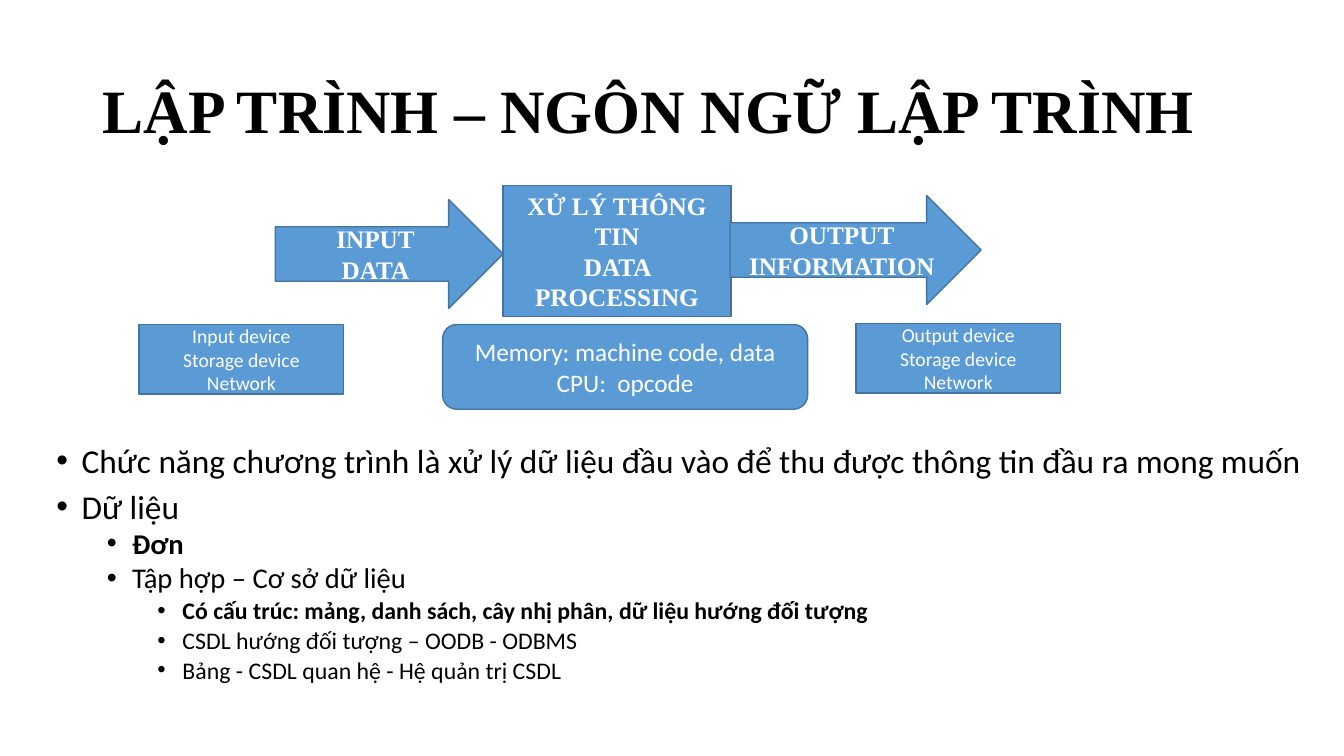
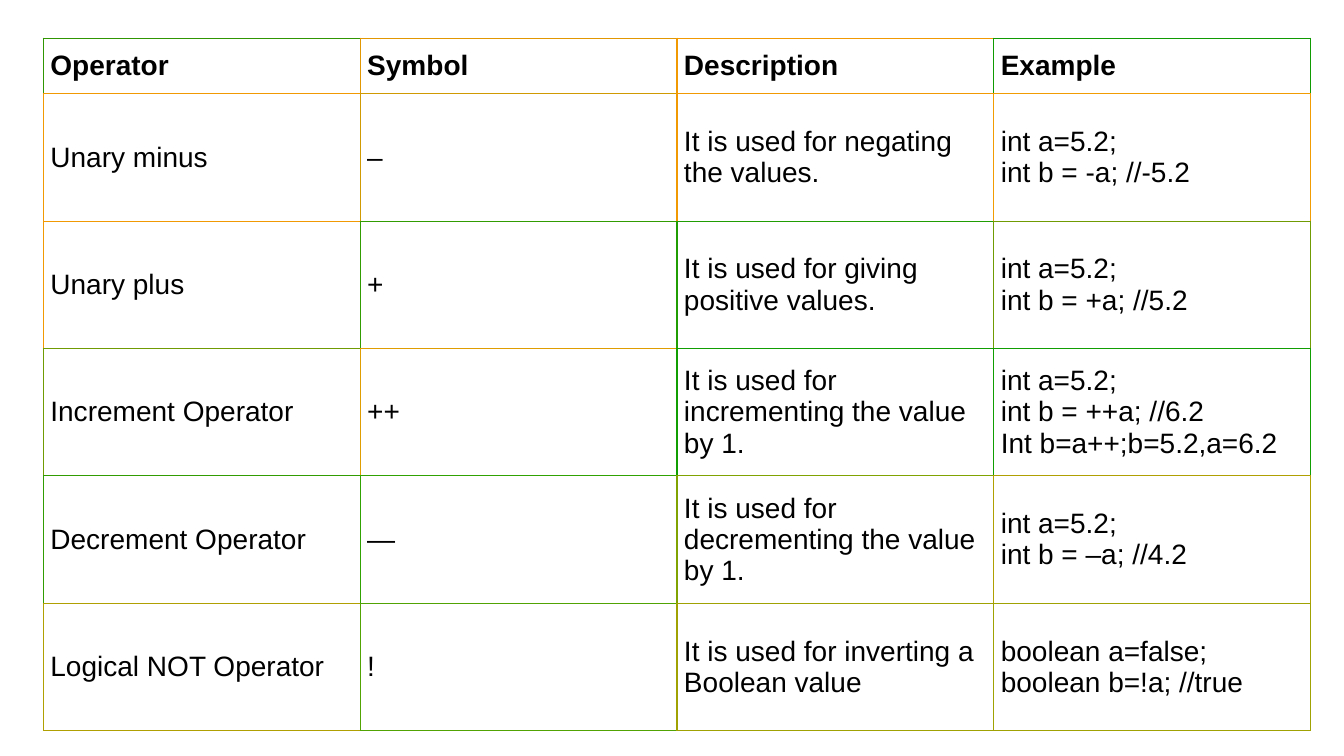
from lxml import etree
from pptx import Presentation
from pptx.dml.color import RGBColor
from pptx.enum.shapes import MSO_SHAPE
from pptx.enum.text import MSO_ANCHOR, MSO_AUTO_SIZE, PP_ALIGN
from pptx.oxml.ns import qn
from pptx.util import Inches, Pt

RECT = MSO_SHAPE.RECTANGLE
ROUND = MSO_SHAPE.ROUNDED_RECTANGLE
ARROW = MSO_SHAPE.RIGHT_ARROW
MIDDLE = MSO_ANCHOR.MIDDLE
TOP = MSO_ANCHOR.TOP
LEFT = PP_ALIGN.LEFT
CENTER = PP_ALIGN.CENTER
NO_FIT = MSO_AUTO_SIZE.NONE

COLORS = {"text": "000000", "white": "FFFFFF", "blue": "5B9BD5", "edge": "43739E"}
HEAD_FONT = "Times New Roman"
BODY_FONT = "Calibri"
TABLE_FONT = "Arial"
LEVEL_SIZES = (23.8, 20.4, 17)
LEVEL_SPACES = (10, 5, 5)

BULLETS = [
    (0, "Chức năng chương trình là xử lý dữ liệu đầu vào để thu được thông tin đầu ra mong muốn", False),
    (0, "Dữ liệu", False),
    (1, "Đơn", True),
    (1, "Tập hợp – Cơ sở dữ liệu", False),
    (2, "Có cấu trúc: mảng, danh sách, cây nhị phân, dữ liệu hướng đối tượng", True),
    (2, "CSDL hướng đối tượng – OODB - ODBMS", False),
    (2, "Bảng - CSDL quan hệ - Hệ quản trị CSDL", False),
]

OPERATORS = [
    ("Operator", "Symbol", "Description", "Example"),
    ("Unary minus", "–", "It is used for negating the values.",
     "int a=5.2;\nint b = -a; //-5.2"),
    ("Unary plus", "+", "It is used for giving positive values.",
     "int a=5.2;\nint b = +a; //5.2"),
    ("Increment Operator", "++", "It is used for incrementing the value by 1.",
     "int a=5.2;\nint b = ++a; //6.2\nInt b=a++;b=5.2,a=6.2"),
    ("Decrement Operator", "—", "It is used for decrementing the value by 1.",
     "int a=5.2;\nint b = –a; //4.2"),
    ("Logical NOT Operator", "!", "It is used for inverting a Boolean value",
     "boolean a=false;\nboolean b=!a; //true"),
]

CELL_BORDERS = [
    ("309602", "E09702", "F09902", "109B02"),
    ("F09902", "D09B02", "F09902", "F09C02"),
    ("F09902", "309C02", "209D02", "709B02"),
    ("709B02", "E09D02", "109E02", "109E02"),
    ("309C02", "30A202", "80A302", "B0A002"),
    ("B0A002", "50A302", "A0A102", "A0A102"),
]


def rgb(name):
    return RGBColor.from_string(COLORS[name])


def add_run(p, text, font, size, color, bold=False):
    r = p.add_run()
    r.text = text
    r.font.name = font
    r.font.size = Pt(size)
    r.font.bold = bold
    r.font.color.rgb = rgb(color)


def write_lines(tf, text, font, size, color, bold=False, align=LEFT):
    for i, line in enumerate(text.split("\n")):
        p = tf.add_paragraph() if i else tf.paragraphs[0]
        p.alignment = align
        add_run(p, line, font, size, color, bold)


def place(sp, x, y, w, h):
    sp.left, sp.top, sp.width, sp.height = (Inches(v) for v in (x, y, w, h))


def set_title(s, text, x, y, w, h):
    sp = s.shapes.title
    place(sp, x, y, w, h)
    tf = sp.text_frame
    tf.auto_size = NO_FIT
    tf.vertical_anchor = MIDDLE
    write_lines(tf, text, HEAD_FONT, 44, "text", True)
    tf.paragraphs[0].line_spacing = 0.9


def set_bullet(p, level):
    pPr = p._p.get_or_add_pPr()
    pPr.set("marL", str(Inches(0.25 + 0.5 * level)))
    pPr.set("indent", str(Inches(-0.25)))
    etree.SubElement(pPr, qn("a:buFont"), typeface="Arial")
    etree.SubElement(pPr, qn("a:buChar"), char="•")


def set_bullets(s, items, x, y, w, h):
    sp = s.placeholders[1]
    place(sp, x, y, w, h)
    tf = sp.text_frame
    tf.auto_size = NO_FIT
    tf.vertical_anchor = TOP
    for i, (level, text, bold) in enumerate(items):
        p = tf.add_paragraph() if i else tf.paragraphs[0]
        p.level = level
        set_bullet(p, level)
        p.alignment = LEFT
        p.line_spacing = 0.8
        p.space_before = Pt(LEVEL_SPACES[level] if i else 0)
        add_run(p, text, BODY_FONT, LEVEL_SIZES[level], "text", bold)


def add_block(s, kind, x, y, w, h, text, font, size, bold=False, corner=None):
    sp = s.shapes.add_shape(kind, Inches(x), Inches(y), Inches(w), Inches(h))
    if corner is not None:
        sp.adjustments[0] = corner
    sp.shadow.inherit = False
    sp.fill.solid()
    sp.fill.fore_color.rgb = rgb("blue")
    sp.line.color.rgb = rgb("edge")
    sp.line.width = Pt(1)
    tf = sp.text_frame
    tf.word_wrap = True
    tf.vertical_anchor = MIDDLE
    write_lines(tf, text, font, size, "white", bold, CENTER)


def add_data_flow(s, x, y):
    steps = [
        (RECT, 3.61, 0, 2.26, 1.3, "XỬ LÝ THÔNG TIN\nDATA PROCESSING"),
        (ARROW, 1.35, 0.14, 2.26, 1.08, "INPUT\nDATA"),
        (ARROW, 5.86, 0.1, 2.49, 1.08, "OUTPUT\nINFORMATION"),
    ]
    for kind, dx, dy, w, h, text in steps:
        add_block(s, kind, x + dx, y + dy, w, h, text, HEAD_FONT, 18, True)
    devices = [
        (0, 1.38, 2.03, 0.69, "Input device\nStorage device\nNetwork", 14, 0),
        (3.01, 1.38, 3.62, 0.84, "Memory: machine code, data\nCPU:  opcode", 18, None),
        (7.11, 1.37, 2.03, 0.69, "Output device\nStorage device\nNetwork", 14, 0),
    ]
    for dx, dy, w, h, text, size, corner in devices:
        add_block(s, ROUND, x + dx, y + dy, w, h, text, BODY_FONT, size, corner=corner)


def set_border(cell, side, color, width):
    tcPr = cell._tc.get_or_add_tcPr()
    ln = etree.SubElement(tcPr, qn("a:" + side), w=str(Pt(width)))
    fill = etree.SubElement(ln, qn("a:solidFill"))
    etree.SubElement(fill, qn("a:srgbClr"), val=color)


def set_cell_borders(cell, row, col, last_row, last_col):
    own = CELL_BORDERS[row][col]
    right = own if col == last_col else CELL_BORDERS[row][col + 1]
    below = own if row == last_row else CELL_BORDERS[row + 1][col]
    set_border(cell, "lnL", own, 1)
    set_border(cell, "lnR", right, 0.75 if col == last_col else 1)
    set_border(cell, "lnT", own, 1)
    set_border(cell, "lnB", below, 0.75 if row == last_row else 1)


def add_operator_table(s, x, y, w, h, head_h=0.55):
    rows, cols = len(OPERATORS), len(OPERATORS[0])
    frame = s.shapes.add_table(rows, cols, Inches(x), Inches(y), Inches(w), Inches(h))
    table = frame.table
    table.first_row = False
    table.horz_banding = False
    for column in table.columns:
        column.width = Inches(w / cols)
    for i, row in enumerate(table.rows):
        row.height = Inches((h - head_h) / (rows - 1) if i else head_h)
        for j, cell in enumerate(row.cells):
            set_cell_borders(cell, i, j, rows - 1, cols - 1)
            cell.fill.solid()
            cell.fill.fore_color.rgb = rgb("white")
            cell.vertical_anchor = MIDDLE
            cell.margin_left = cell.margin_right = Inches(0.07)
            cell.margin_top = cell.margin_bottom = Inches(0.07)
            write_lines(cell.text_frame, OPERATORS[i][j], TABLE_FONT, 20, "text", i == 0)


def programming_slide(prs):
    s = prs.slides.add_slide(prs.slide_layouts[1])
    set_title(s, "LẬP TRÌNH – NGÔN NGỮ LẬP TRÌNH", 0.92, 0.4, 11.5, 1.45)
    set_bullets(s, BULLETS, 0.46, 4.39, 12.88, 2.59)
    add_data_flow(s, 1.38, 1.84)


def operators_slide(prs):
    s = prs.slides.add_slide(prs.slide_layouts[6])
    add_operator_table(s, 0.43, 0.38, 12.57, 6.87)


def main():
    prs = Presentation()
    prs.slide_width = Inches(13.33)
    prs.slide_height = Inches(7.5)
    programming_slide(prs)
    operators_slide(prs)
    prs.save("out.pptx")


if __name__ == "__main__":
    main()
